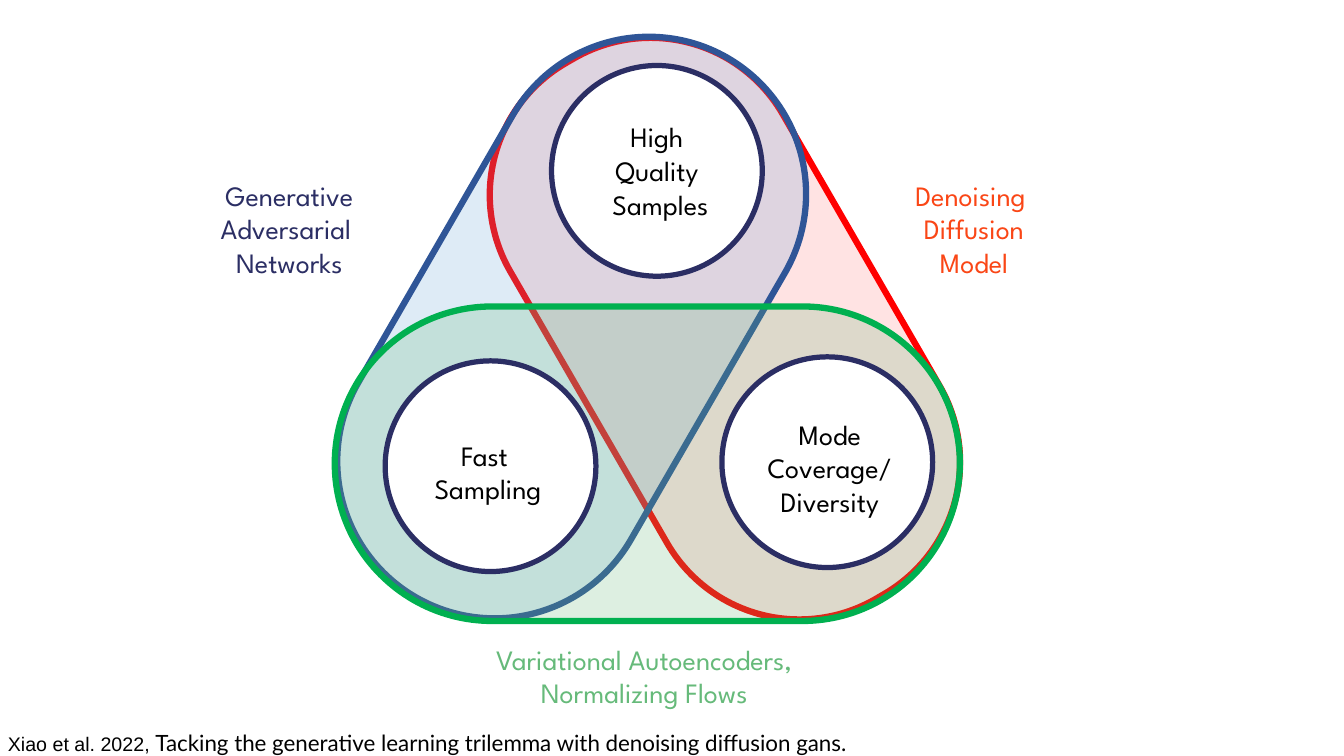
import pptx
import pptx.util
import pptx.dml.color
import pptx.enum.shapes
import pptx.enum.text
import lxml.etree
from pptx.oxml.ns import qn

Inches = pptx.util.Inches
Pt = pptx.util.Pt
RGBColor = pptx.dml.color.RGBColor
SHAPE = pptx.enum.shapes.MSO_SHAPE
CENTER = pptx.enum.text.PP_ALIGN.CENTER

BLACK = RGBColor(0x00, 0x00, 0x00)
WHITE = RGBColor(0xFF, 0xFF, 0xFF)
NAVY = RGBColor(0x2B, 0x2E, 0x64)
ORANGE = RGBColor(0xFA, 0x46, 0x16)
RED = RGBColor(0xFF, 0x00, 0x00)
SKY = RGBColor(0x5B, 0x9B, 0xD5)
BLUE = RGBColor(0x2F, 0x55, 0x97)
SAGE = RGBColor(0x66, 0xBA, 0x7A)
GREEN = RGBColor(0x00, 0xB0, 0x50)

LABEL_FONT = "League Spartan"
CAPSULE_WIDTH = 3.12
CIRCLE_SIZE = 2.09
GOAL_LABEL_WIDTH = 1.58

MODEL_FAMILIES = [
    ((5.63, 0.19, CAPSULE_WIDTH, 6.14), 330, 0.485, RED, 11, RED,
     (2.92, 1.53, 2.22, 1.06), ["Denoising ", "Diffusion", "Model"], ORANGE),
    ((4.11, 0.16, CAPSULE_WIDTH, 6.18), 30, 0.5, SKY, 20, BLUE,
     (-2.35, 1.56, 2.22, 1.06), ["Generative Adversarial ", "Networks"], NAVY),
    ((4.86, 1.5, CAPSULE_WIDTH, 6.2), 90, 0.5, SAGE, 22, GREEN,
     (-1.13, 4.82, 5.32, 0.74), ["Variational Autoencoders,", "Normalizing Flows"], SAGE),
]

GOALS = [
    ((5.47, 0.65), (0.29, 0.49, GOAL_LABEL_WIDTH, 1.06), ["High ", "Quality ", "Samples"]),
    ((3.82, 3.58), (0.23, 0.72, GOAL_LABEL_WIDTH, 0.74), ["Fast ", "Sampling"]),
    ((7.16, 3.54), (0.28, 0.55, GOAL_LABEL_WIDTH, 1.06), ["Mode", "Coverage/", "Diversity"]),
]


def add_outlined_shape(page, kind, box, fill_color, line_color, line_width):
    shape = page.shapes.add_shape(kind, *map(Inches, box))
    shape.shadow.inherit = False
    shape.fill.solid()
    shape.fill.fore_color.rgb = fill_color
    shape.line.color.rgb = line_color
    shape.line.width = Pt(line_width)
    return shape


def set_opacity(shape, percent):
    color = shape.fill._xPr.find(qn("a:solidFill"))[0]
    lxml.etree.SubElement(color, qn("a:alpha")).set("val", str(percent * 1000))


def add_text_frame(page, box):
    frame = page.shapes.add_textbox(*map(Inches, box)).text_frame
    frame.word_wrap = True
    return frame


def add_label(page, box, offset_box, lines, color):
    left, top, width, height = offset_box
    frame = add_text_frame(page, (box[0] + left, box[1] + top, width, height))
    for index, line in enumerate(lines):
        para = frame.add_paragraph() if index else frame.paragraphs[0]
        para.text = line
        para.alignment = CENTER
        para.font.name = LABEL_FONT
        para.font.size = Pt(20)
        para.font.color.rgb = color


def add_model_family(page, box, angle, rounding, fill_color, opacity, line_color,
                     label_box, lines, label_color):
    capsule = add_outlined_shape(page, SHAPE.ROUNDED_RECTANGLE, box, fill_color, line_color, 4.5)
    capsule.adjustments[0] = rounding
    capsule.rotation = angle
    set_opacity(capsule, opacity)
    add_label(page, box, label_box, lines, label_color)


def add_goal(page, corner, label_box, lines):
    box = (*corner, CIRCLE_SIZE, CIRCLE_SIZE)
    add_outlined_shape(page, SHAPE.OVAL, box, WHITE, NAVY, 3.75)
    add_label(page, box, label_box, lines, BLACK)


def add_citation(page, box):
    para = add_text_frame(page, box).paragraphs[0]
    para.font.color.rgb = BLACK
    for text, font_name, size in [
        ("Xiao et al. 2022, ", "Arial", 14),
        ("Tacking the generative learning trilemma with denoising diffusion gans.", "Lato", 16),
    ]:
        span = para.add_run()
        span.text = text
        span.font.name = font_name
        span.font.size = Pt(size)


def main():
    deck = pptx.Presentation()
    deck.slide_width = Inches(13.33)
    deck.slide_height = Inches(7.5)
    page = deck.slides.add_slide(deck.slide_layouts[6])
    for family in MODEL_FAMILIES:
        add_model_family(page, *family)
    for goal in GOALS:
        add_goal(page, *goal)
    add_citation(page, (-0.02, 7.18, 9.1, 0.37))
    deck.save("out.pptx")


if __name__ == "__main__":
    main()
